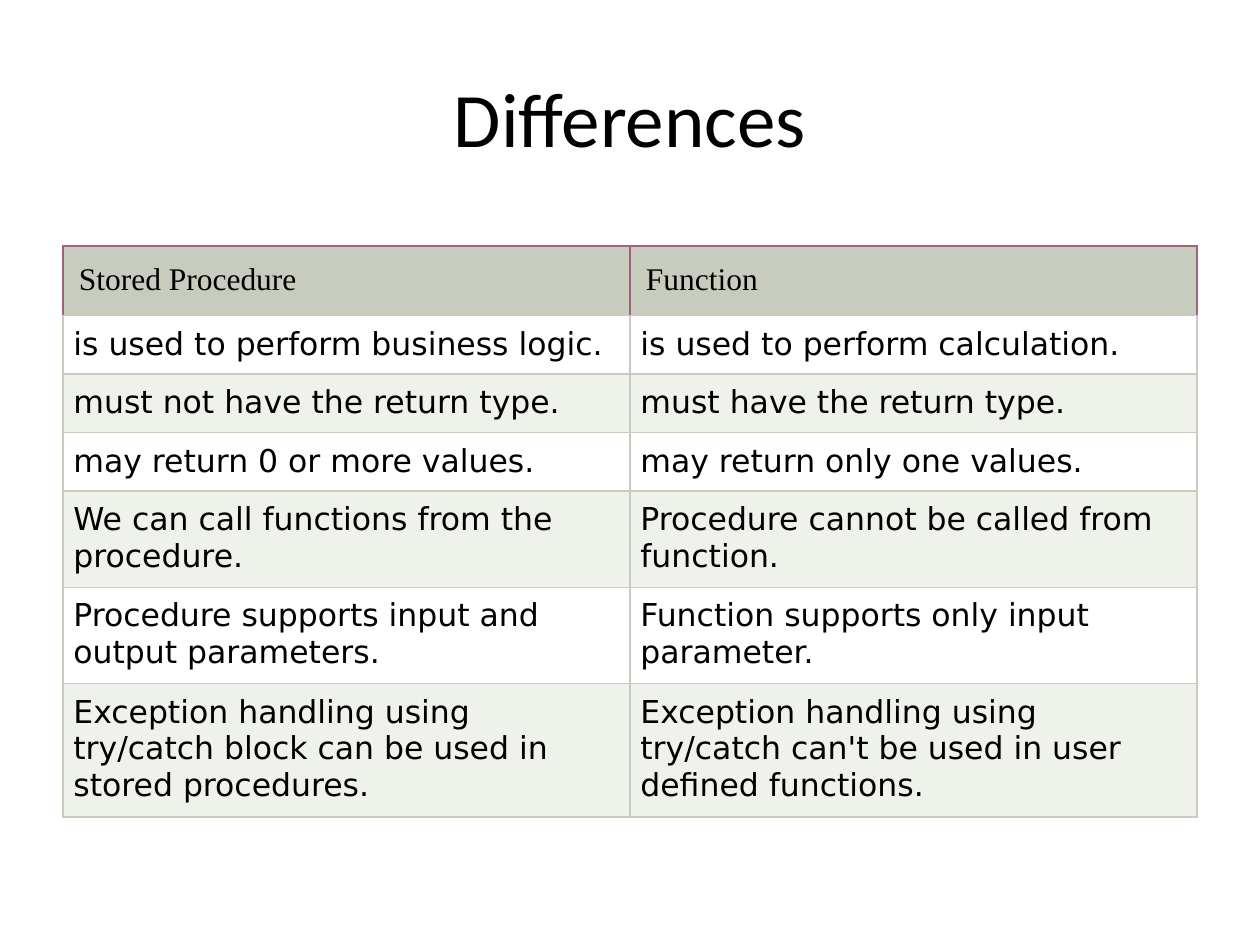
import pptx
import pptx.dml.color
import pptx.enum.text
import pptx.oxml
import pptx.oxml.ns
import pptx.util
from pptx.util import Cm, Pt

RGBColor = pptx.dml.color.RGBColor
BLACK = RGBColor(0x00, 0x00, 0x00)
WHITE = RGBColor(0xFF, 0xFF, 0xFF)
SAGE = RGBColor(0xC7, 0xCC, 0xBE)
PALE = RGBColor(0xEF, 0xF1, 0xEB)
PLUM = RGBColor(0xA0, 0x63, 0x7C)

TITLE = "Differences"
# Each row: height in cm, stored procedure, function
ROWS = [
    (1.4, "Stored Procedure", "Function"),
    (1.18, "is used to perform business logic.", "is used to perform calculation."),
    (1.18, "must not have the return type.", "must have the return type."),
    (1.18, "may return 0 or more values.", "may return only one values."),
    (1.94, "We can call functions from the procedure.",
     "Procedure cannot be called from function."),
    (1.94, "Procedure supports input and output parameters.",
     "Function supports only input parameter."),
    (2.69, "Exception handling using try/catch block can be used in stored procedures.",
     "Exception handling using try/catch can't be used in user defined functions."),
]
LEFT, WIDTH = Cm(1.27), Cm(22.86)
HEADER = {"name": "Times New Roman", "size": Pt(18), "bold": False}
BODY = {"name": "DejaVu Sans", "size": Pt(18), "bold": False}


def set_font(font, values):
    for name, value in values.items():
        setattr(font, name, value)
    font.color.rgb = BLACK


def set_borders(cell, side_colors):
    """Add cell borders; call before filling, as the schema wants lines first."""
    tc_pr = cell._tc.get_or_add_tcPr()
    for side, color in side_colors.items():
        tc_pr.append(pptx.oxml.parse_xml(
            f'<a:ln{side} {pptx.oxml.ns.nsdecls("a")} w="{Pt(0.75)}">'
            f'<a:solidFill><a:srgbClr val="{color}"/></a:solidFill></a:ln{side}>'))


def format_cell(cell, text, row):
    is_header = row == 0
    edge = PLUM if is_header else SAGE
    set_borders(cell, {"L": edge, "R": edge, "T": edge if is_header else SAGE, "B": SAGE})
    cell.fill.solid()
    cell.fill.fore_color.rgb = SAGE if is_header else (PALE, WHITE)[row % 2]
    for side in ("left", "top", "right", "bottom"):
        setattr(cell, f"margin_{side}", Cm(0.32 if is_header else 0.21))
    r = cell.text_frame.paragraphs[0].add_run()
    r.text = text
    set_font(r.font, HEADER if is_header else BODY)


def main():
    prs = pptx.Presentation()
    prs.slide_width, prs.slide_height = Cm(25.4), Cm(19.05)
    s = prs.slides.add_slide(prs.slide_layouts[5])

    title = s.shapes.title
    title.left, title.top, title.width, title.height = LEFT, Cm(0.76), WIDTH, Cm(3.18)
    tf = title.text_frame
    tf.text = TITLE
    tf.vertical_anchor = pptx.enum.text.MSO_ANCHOR.MIDDLE
    p = tf.paragraphs[0]
    p.alignment = pptx.enum.text.PP_ALIGN.CENTER
    set_font(p.runs[0].font, {"name": "Calibri", "size": Pt(44)})

    height = Cm(sum(row[0] for row in ROWS))
    table = s.shapes.add_table(len(ROWS), 2, LEFT, Cm(4.96), WIDTH, height).table
    for i, (row_height, *texts) in enumerate(ROWS):
        table.rows[i].height = Cm(row_height)
        for j, text in enumerate(texts):
            format_cell(table.cell(i, j), text, i)

    prs.save("out.pptx")


if __name__ == "__main__":
    main()
